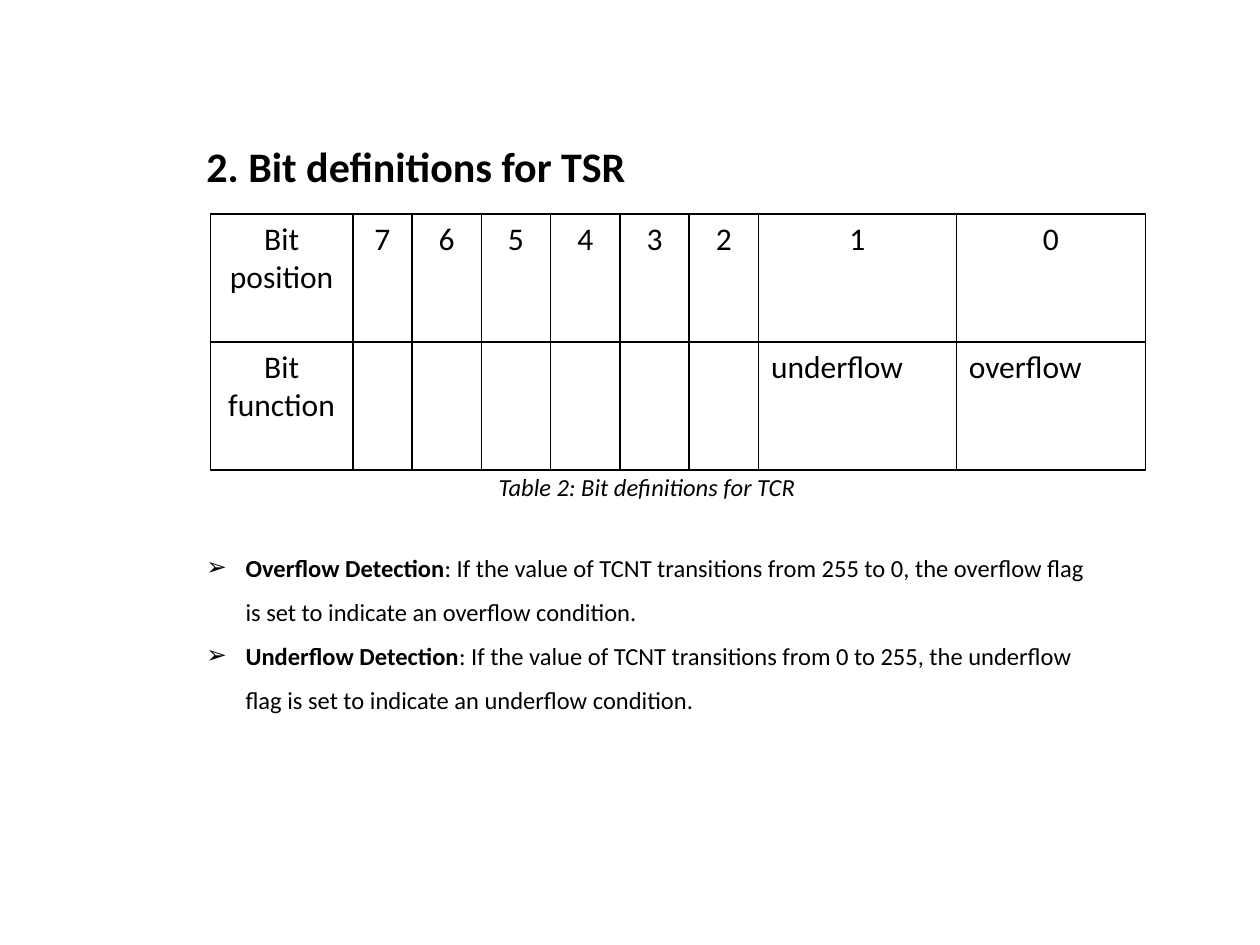
"""Build the slide on the bit definitions for TSR."""
from dataclasses import dataclass

from lxml.etree import SubElement
from pptx import Presentation
from pptx.dml.color import RGBColor
from pptx.enum.text import MSO_AUTO_SIZE, PP_ALIGN
from pptx.oxml import parse_xml
from pptx.oxml.ns import nsdecls, qn
from pptx.util import Inches, Pt


@dataclass(frozen=True)
class Theme:
    font: str = "Calibri"
    ink: str = "000000"
    title: int = 24
    table: int = 18
    body: int = 14
    border: int = 1


THEME = Theme()
TITLE = "2. Bit definitions for TSR"
CAPTION = "Table 2: Bit definitions for TCR"
BITS = [
    ["Bit position", "7", "6", "5", "4", "3", "2", "1", "0"],
    ["Bit function", "", "", "", "", "", "", "underflow", "overflow"],
]
COLUMN_WIDTHS = [1.13, 0.47] + [0.55] * 5 + [1.57, 1.5]
TABLE_LEFT, TABLE_TOP, TABLE_HEIGHT = 1.67, 1.7, 2.03
BULLET = "➢"
BULLET_INDENT = 0.31
DETECTIONS = [
    ("Overflow Detection", ": If the value of TCNT transitions from 255 to 0, "
     "the overflow flag is set to indicate an overflow condition."),
    ("Underflow Detection", ": If the value of TCNT transitions from 0 to 255, "
     "the underflow flag is set to indicate an underflow condition."),
]


def style(para, size, bold=None, italic=None):
    font = para.font
    font.name, font.size = THEME.font, Pt(size)
    font.bold, font.italic = bold, italic
    font.color.rgb = RGBColor.from_string(THEME.ink)


def add_text(page, left, top, width, height, wrap=False):
    box = page.shapes.add_textbox(*map(Inches, (left, top, width, height)))
    frame = box.text_frame
    frame.word_wrap = wrap
    frame.auto_size = MSO_AUTO_SIZE.SHAPE_TO_FIT_TEXT
    return frame


def add_line(page, text, place, size, **emphasis):
    para = add_text(page, *place).paragraphs[0]
    para.text = text
    style(para, size, **emphasis)


def draw_borders(cell):
    cell.fill.background()
    properties = cell._tc.get_or_add_tcPr()
    for index, side in enumerate("LRTB"):
        properties.insert(index, parse_xml(
            f'<a:ln{side} {nsdecls("a")} w="{Pt(THEME.border)}"><a:solidFill>'
            f'<a:srgbClr val="{THEME.ink}"/></a:solidFill></a:ln{side}>'))


def add_bit_table(page):
    frame = page.shapes.add_table(
        len(BITS), len(COLUMN_WIDTHS), Inches(TABLE_LEFT), Inches(TABLE_TOP),
        Inches(sum(COLUMN_WIDTHS)), Inches(TABLE_HEIGHT))
    table = frame.table
    table.first_row = table.horz_banding = False
    for column, width in zip(table.columns, COLUMN_WIDTHS):
        column.width = Inches(width)
    for row, texts in enumerate(BITS):
        for column, text in enumerate(texts):
            cell = table.cell(row, column)
            para = cell.text_frame.paragraphs[0]
            para.text = text
            style(para, THEME.table)
            centred = row == 0 or column == 0
            para.alignment = PP_ALIGN.CENTER if centred else PP_ALIGN.LEFT
            draw_borders(cell)


def add_detections(page):
    frame = add_text(page, 1.54, 4.22, 7.32, 1.87, wrap=True)
    for index, (term, meaning) in enumerate(DETECTIONS):
        para = frame.add_paragraph() if index else frame.paragraphs[0]
        para.line_spacing = 1.5
        for text, bold in ((term, True), (meaning, False)):
            span = para.add_run()
            span.text = text
            style(span, THEME.body, bold=bold)
        properties = para._p.get_or_add_pPr()
        properties.set("marL", str(Inches(BULLET_INDENT)))
        properties.set("indent", str(-Inches(BULLET_INDENT)))
        SubElement(properties, qn("a:buFont")).set("typeface", "Wingdings")
        properties[-1].set("typeface", THEME.font)
        SubElement(properties, qn("a:buChar")).set("char", BULLET)


def main():
    deck = Presentation()
    deck.slide_width, deck.slide_height = Inches(10), Inches(7.5)
    page = deck.slides.add_slide(deck.slide_layouts[6])
    add_bit_table(page)
    add_detections(page)
    add_line(page, TITLE, (1.54, 1.07, 3.56, 0.5), THEME.title, bold=True)
    add_line(page, CAPTION, (3.86, 3.7, 2.65, 0.34), THEME.body, italic=True)
    deck.save("out.pptx")


if __name__ == "__main__":
    main()
